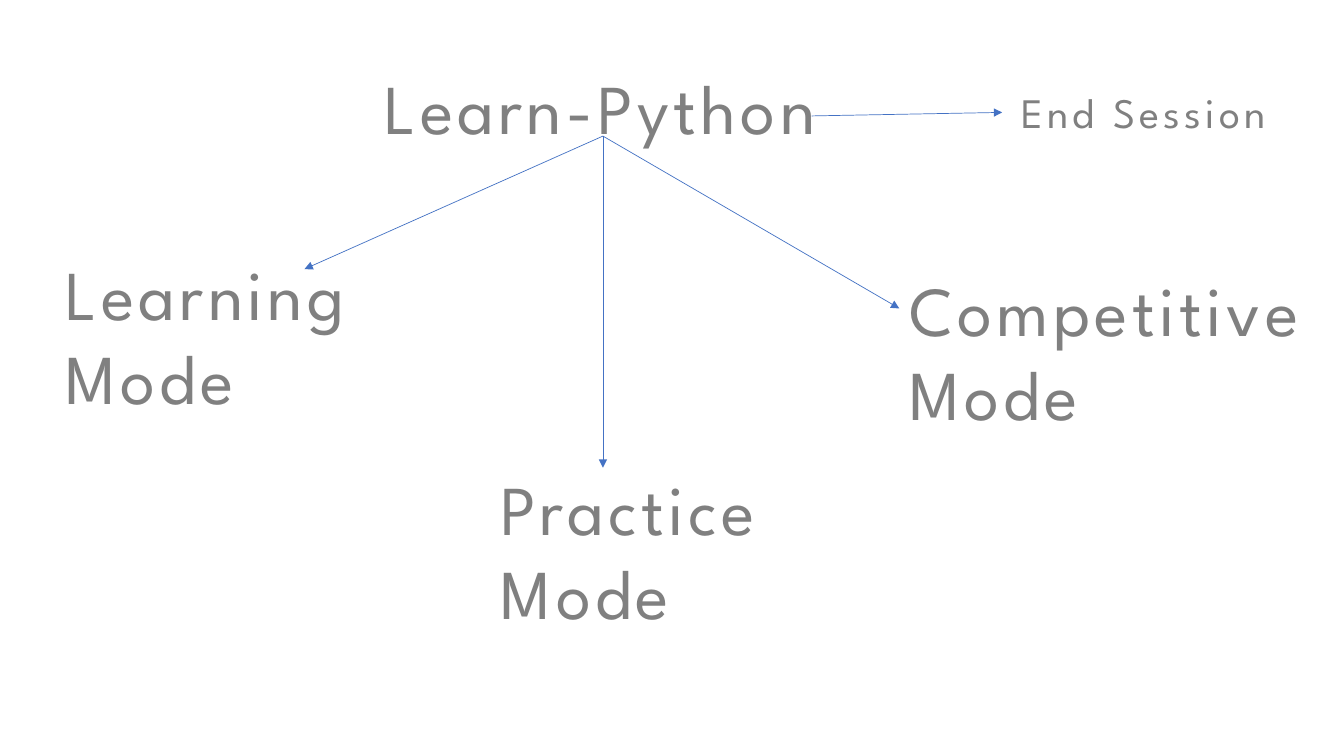
from lxml.etree import SubElement
from pptx import Presentation
from pptx.dml.color import RGBColor
from pptx.enum.shapes import MSO_CONNECTOR as Connector
from pptx.enum.text import MSO_ANCHOR as Anchor, MSO_AUTO_SIZE as AutoSize, PP_ALIGN as Align
from pptx.oxml.ns import qn
from pptx.util import Inches, Pt

FONT = "League Spartan"
GREY = "808080"
BLUE = "4472C4"
HUB = (5.98, 1.35)
MODES = [
    ("Learning Mode", (0.55, 2.44, 3.5, 1.78), (3.02, 2.67)),
    ("Practice Mode", (4.87, 4.57, 3.18, 1.78), (5.98, 4.64)),
    ("Competitive Mode", (8.92, 2.59, 4.55, 1.78), (8.92, 3.06)),
]


def color(value):
    return RGBColor.from_string(value)


def write_label(shape, text, box, size):
    shape.left, shape.top, shape.width, shape.height = map(Inches, box)
    frame = shape.text_frame
    frame.text = text
    frame.word_wrap = True
    frame.auto_size = AutoSize.SHAPE_TO_FIT_TEXT
    frame.vertical_anchor = Anchor.TOP
    paragraph = frame.paragraphs[0]
    paragraph.alignment = Align.LEFT
    font = paragraph.runs[0].font
    font.name = FONT
    font.size = Pt(size)
    font.color.rgb = color(GREY)
    paragraph.runs[0]._r.get_or_add_rPr().set("spc", "300")


def add_label(slide, text, box, size=50):
    shape = slide.shapes.add_textbox(*map(Inches, box))
    write_label(shape, text, box, size)


def add_arrow(slide, start, end):
    arrow = slide.shapes.add_connector(Connector.STRAIGHT, *map(Inches, start + end))
    arrow.line.color.rgb = color(BLUE)
    arrow.line.width = Pt(0.5)
    SubElement(arrow.line._get_or_add_ln(), qn("a:tailEnd"), type="triangle")
    SubElement(arrow._element.spPr, qn("a:effectLst"))


def add_mode(slide, name, box, arrow_end):
    add_label(slide, name, box)
    add_arrow(slide, HUB, arrow_end)


def add_end_session(slide, box):
    left, top, width, height = box
    add_label(slide, "End Session", box, 30)
    add_arrow(slide, (8.05, 1.15), (left - 0.09, top + height / 2))


def build_mode_slide(presentation):
    slide = presentation.slides.add_slide(presentation.slide_layouts[5])
    write_label(slide.shapes.title, "Learn-Python", (3.71, 0.59, 4.62, 0.94), 50)
    for name, box, arrow_end in MODES:
        add_mode(slide, name, box, arrow_end)
    add_end_session(slide, (10.03, 0.81, 2.69, 0.61))


presentation = Presentation()
presentation.slide_width = Inches(13.33)
presentation.slide_height = Inches(7.5)
build_mode_slide(presentation)
presentation.save("out.pptx")
